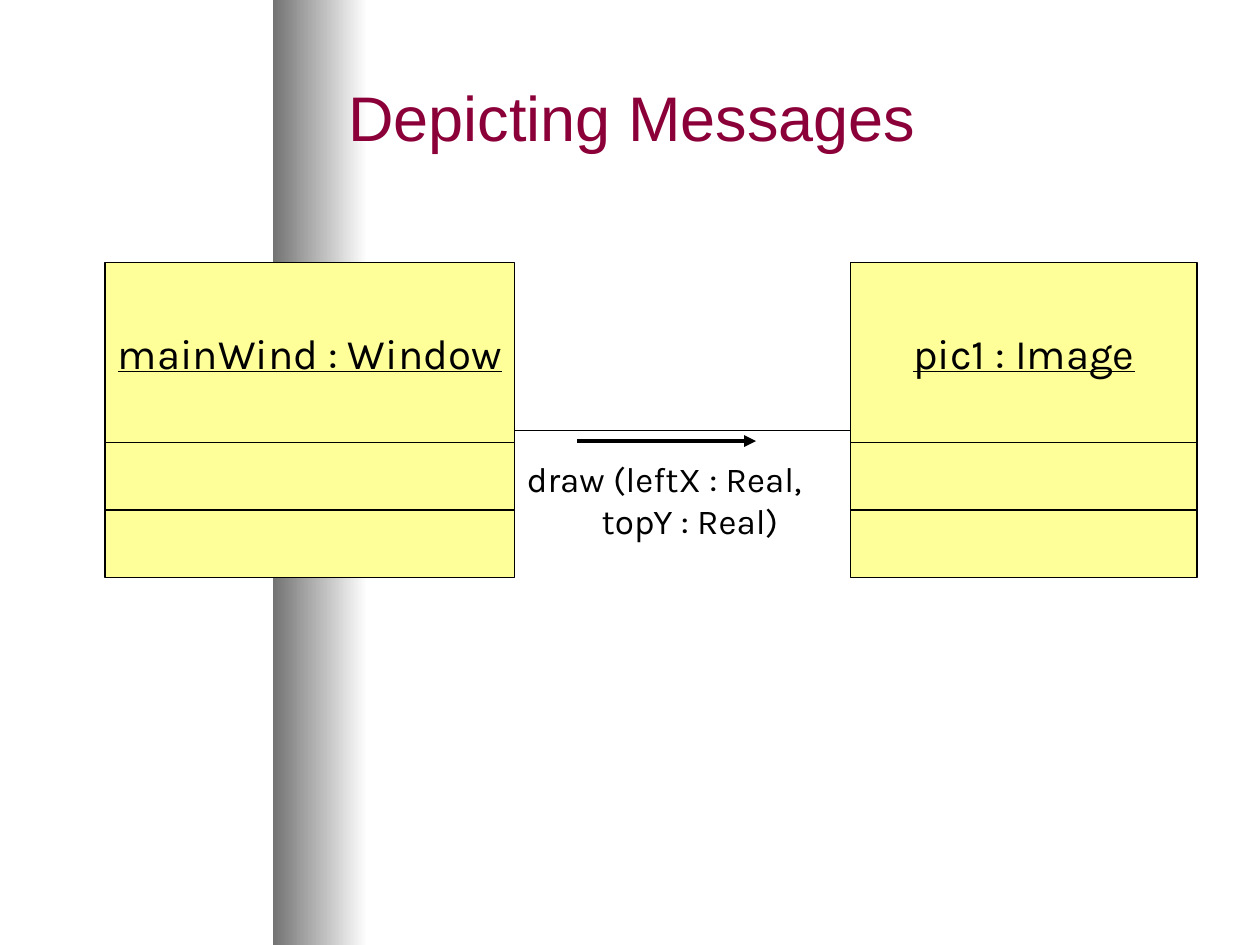
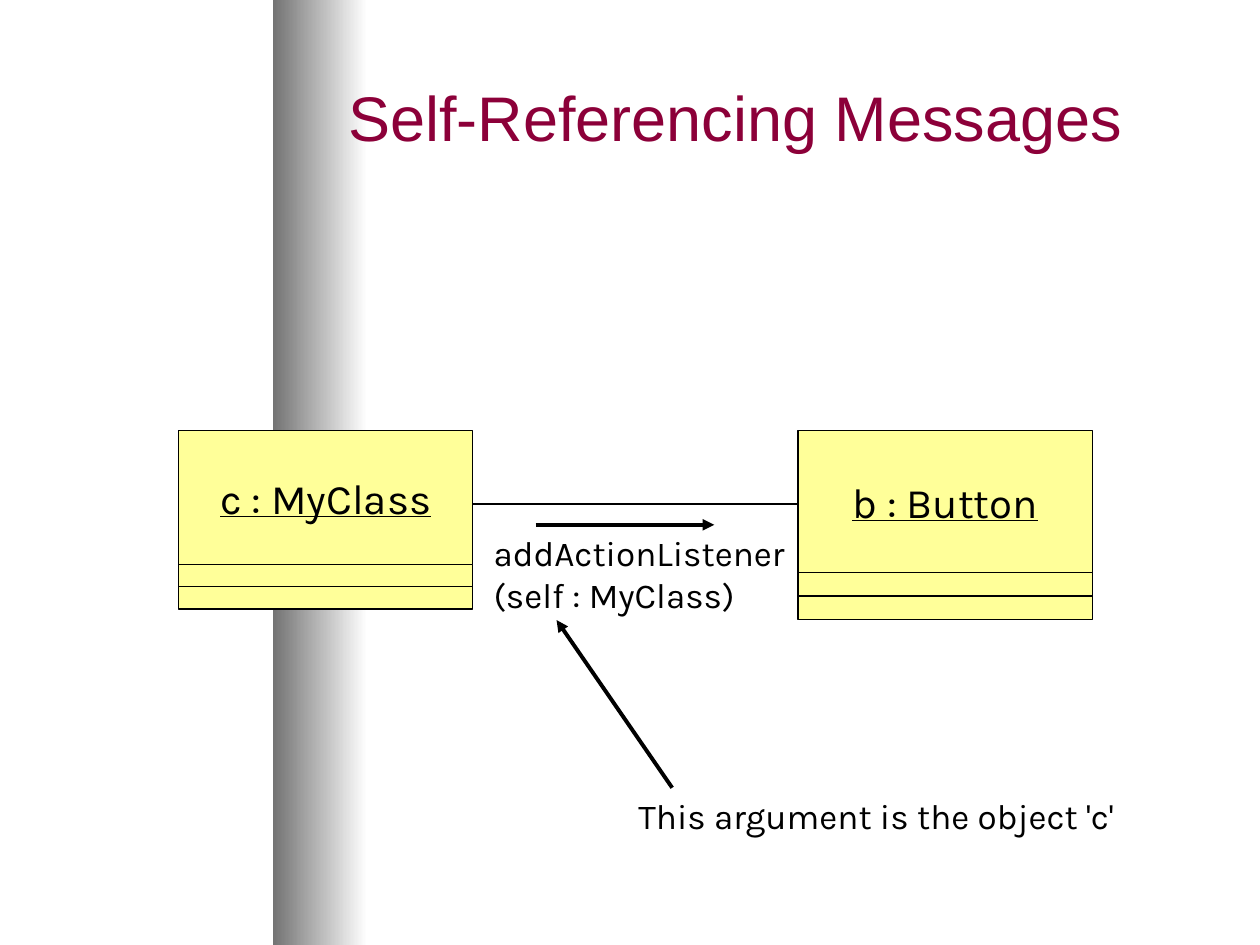
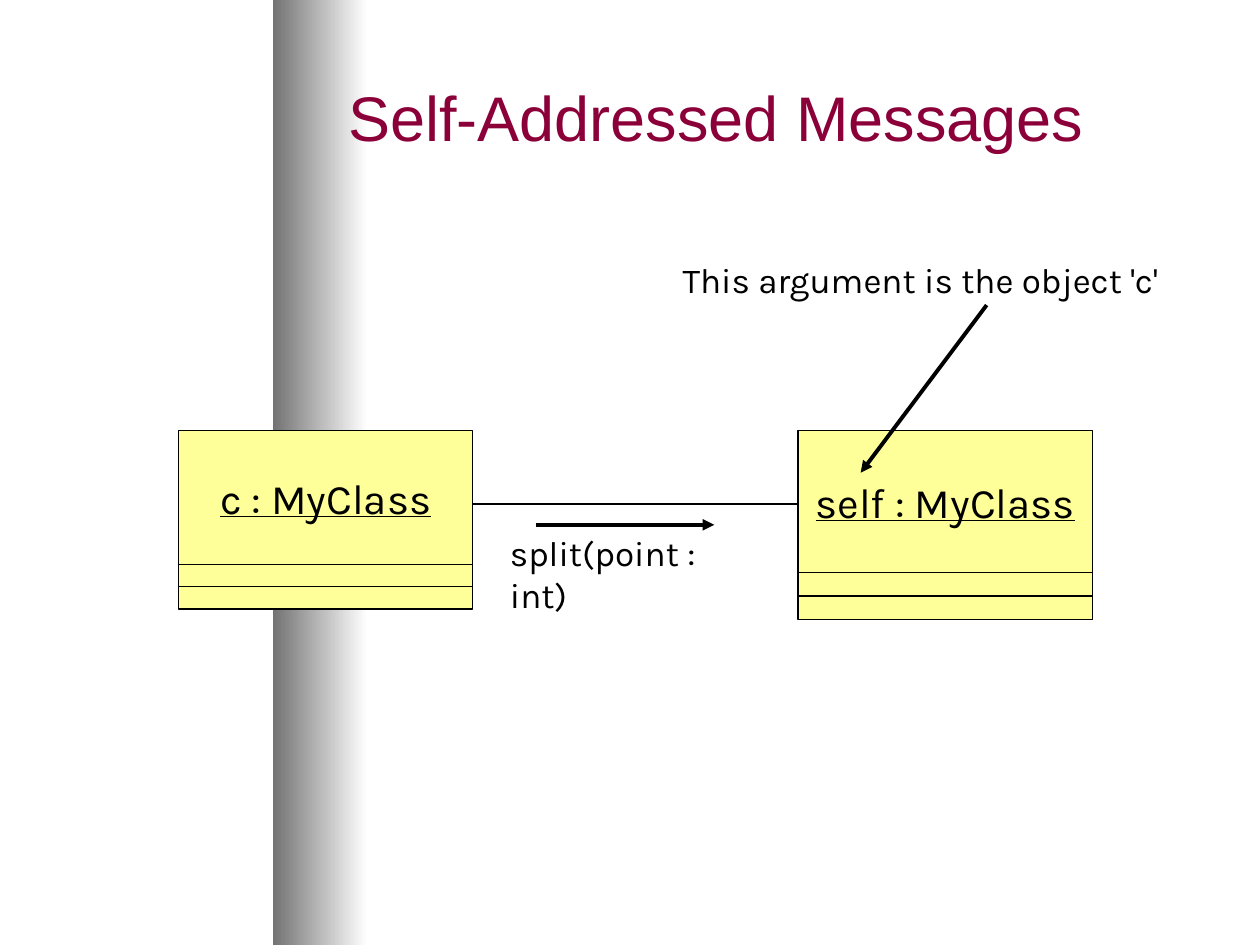
"""Build three slides on messages between objects."""
import dataclasses
import pptx
import pptx.dml.color
import pptx.enum.dml
import pptx.enum.shapes
import pptx.enum.text
import pptx.oxml.ns
import pptx.util
from lxml import etree

Cm = pptx.util.Cm
Pt = pptx.util.Pt
RECT = pptx.enum.shapes.MSO_SHAPE.RECTANGLE
STRAIGHT = pptx.enum.shapes.MSO_CONNECTOR.STRAIGHT
ALIGN = pptx.enum.text.PP_ALIGN
ANCHOR = pptx.enum.text.MSO_ANCHOR


@dataclasses.dataclass(frozen=True)
class Theme:
    """Colours, fonts and sizes in points."""
    ink: str = "000000"
    head: str = "8C0039"
    box: str = "FFFF99"
    shade: str = "737373"
    paper: str = "FFFFFF"
    font: str = "Karla"
    title: str = "Arial"
    big: float = 36
    label: float = 24
    small: float = 20
    thin: float = 0.75
    thick: float = 2.25


THEME = Theme()
WIDE, HIGH = 25.4, 19.05
BAND = (5.5, 0, 1.91, HIGH)
HEAD = (6.77, 0.64, 17.78, 3.39)
LEFT = (3.6, 8.68, 5.93, 3.6)
RIGHT = (16.09, 8.68, 5.93, 3.81)
INSET, REACH = 1.27, 3.6
HINT = "This argument is the object 'c'"

SLIDES = [
    {
        "title": "Depicting Messages",
        "boxes": [("mainWind : Window", (2.12, 5.29, 8.25, 6.35)),
                  ("pic1 : Image", (17.15, 5.29, 6.98, 6.35))],
        "share": 4 / 7,
        "link": 8.68,
        "arrow": 8.89,
        "notes": [(["draw (leftX : Real,", "topY : Real)"],
                   (10.37, 9.1, 6.78, 1.96), 1.51)],
        "hints": [],
    },
    {
        "title": "Self-Referencing Messages",
        "boxes": [("c : MyClass", LEFT), ("b : Button", RIGHT)],
        "share": 3 / 4,
        "link": 10.16,
        "arrow": 10.58,
        "notes": [(["addActionListener", "(self : MyClass)"],
                   (9.7, 10.58, 6.53, 1.96), 0),
                  ([HINT], (12.62, 15.9, 10.39, 1.12), 0)],
        "hints": [((13.55, 15.88), (11.22, 12.5))],
    },
    {
        "title": "Self-Addressed Messages",
        "boxes": [("c : MyClass", LEFT), ("self : MyClass", RIGHT)],
        "share": 3 / 4,
        "link": 10.16,
        "arrow": 10.58,
        "notes": [(["split(point : int)"], (10.03, 10.58, 5.45, 1.96), 0),
                  ([HINT], (13.51, 5.08, 10.39, 1.12), 0)],
        "hints": [((19.89, 6.15), (17.35, 9.53))],
    },
]


def rgb(code):
    """Return a colour object."""
    return pptx.dml.color.RGBColor.from_string(code)


def write(shape, lines, size=THEME.small, font=THEME.font, ink=THEME.ink,
          align=ALIGN.LEFT, anchor=ANCHOR.TOP, under=False, wrap=True,
          indent=0):
    """Fill a shape with formatted lines, indenting those after the first."""
    frame = shape.text_frame
    frame.word_wrap = wrap
    frame.vertical_anchor = anchor
    frame.text = "\n".join(lines)
    for i, para in enumerate(frame.paragraphs):
        para.alignment = align
        if i and indent:
            para._p.get_or_add_pPr().set("marL", str(Cm(indent)))
        style = para.runs[0].font
        style.size = Pt(size)
        style.name = font
        style.underline = under
        style.color.rgb = rgb(ink)


def rect(shapes, place):
    """Add a flat rectangle."""
    shape = shapes.add_shape(RECT, *map(Cm, place))
    shape.shadow.inherit = False
    return shape


def shade(slide, layout):
    """Put the shaded band behind every slide of the layout."""
    band = rect(slide.shapes, BAND)
    band.line.fill.background()
    band.fill.gradient()
    band.fill.gradient_angle = 0
    for stop, code in zip(band.fill.gradient_stops, (THEME.shade, THEME.paper)):
        stop.color.rgb = rgb(code)
    layout.shapes.element.insert(2, band.element)


def draw(slide, name, place, share):
    """Draw an object as a name box above two equal empty boxes."""
    left, top, width, height = place
    group = slide.shapes.add_group_shape().shapes
    rest = (1 - share) / 2
    for i, part in enumerate((share, rest, rest)):
        box = rect(group, (left, top, width, height * part))
        box.fill.solid()
        box.fill.fore_color.rgb = rgb(THEME.box)
        box.line.color.rgb = rgb(THEME.ink)
        box.line.width = Pt(THEME.thin)
        if i == 0:
            write(box, [name], size=THEME.label, align=ALIGN.CENTER,
                  anchor=ANCHOR.MIDDLE, under=True, wrap=False)
        top += height * part


def join(slide, start, end, arrow=False):
    """Draw a thin line, or a thick arrow."""
    line = slide.shapes.add_connector(STRAIGHT, *map(Cm, start + end))
    line.line.color.rgb = rgb(THEME.ink)
    line.line.width = Pt(THEME.thick if arrow else THEME.thin)
    qn = pptx.oxml.ns.qn
    if arrow:
        etree.SubElement(line.line._get_or_add_ln(), qn("a:tailEnd"),
                         type="triangle")
    etree.SubElement(line.element.spPr, qn("a:effectLst"))


def build(slide, data):
    """Lay out one slide."""
    title = slide.shapes.title
    title.left, title.top, title.width, title.height = map(Cm, HEAD)
    write(title, [data["title"]], size=THEME.big, font=THEME.title,
          ink=THEME.head, anchor=ANCHOR.MIDDLE)
    for name, place in data["boxes"]:
        draw(slide, name, place, data["share"])
    (_, first), (_, last) = data["boxes"]
    edge = first[0] + first[2]
    join(slide, (edge, data["link"]), (last[0], data["link"]))
    tail = edge + INSET
    join(slide, (tail, data["arrow"]), (tail + REACH, data["arrow"]), arrow=True)
    for start, end in data["hints"]:
        join(slide, start, end, arrow=True)
    for lines, place, indent in data["notes"]:
        note = slide.shapes.add_textbox(*map(Cm, place))
        write(note, lines, indent=indent)


def main():
    """Make and save the deck."""
    deck = pptx.Presentation()
    deck.slide_width, deck.slide_height = Cm(WIDE), Cm(HIGH)
    layout = deck.slide_layouts[5]
    for i, data in enumerate(SLIDES):
        slide = deck.slides.add_slide(layout)
        if i == 0:
            shade(slide, layout)
        build(slide, data)
    deck.save("out.pptx")


if __name__ == "__main__":
    main()
